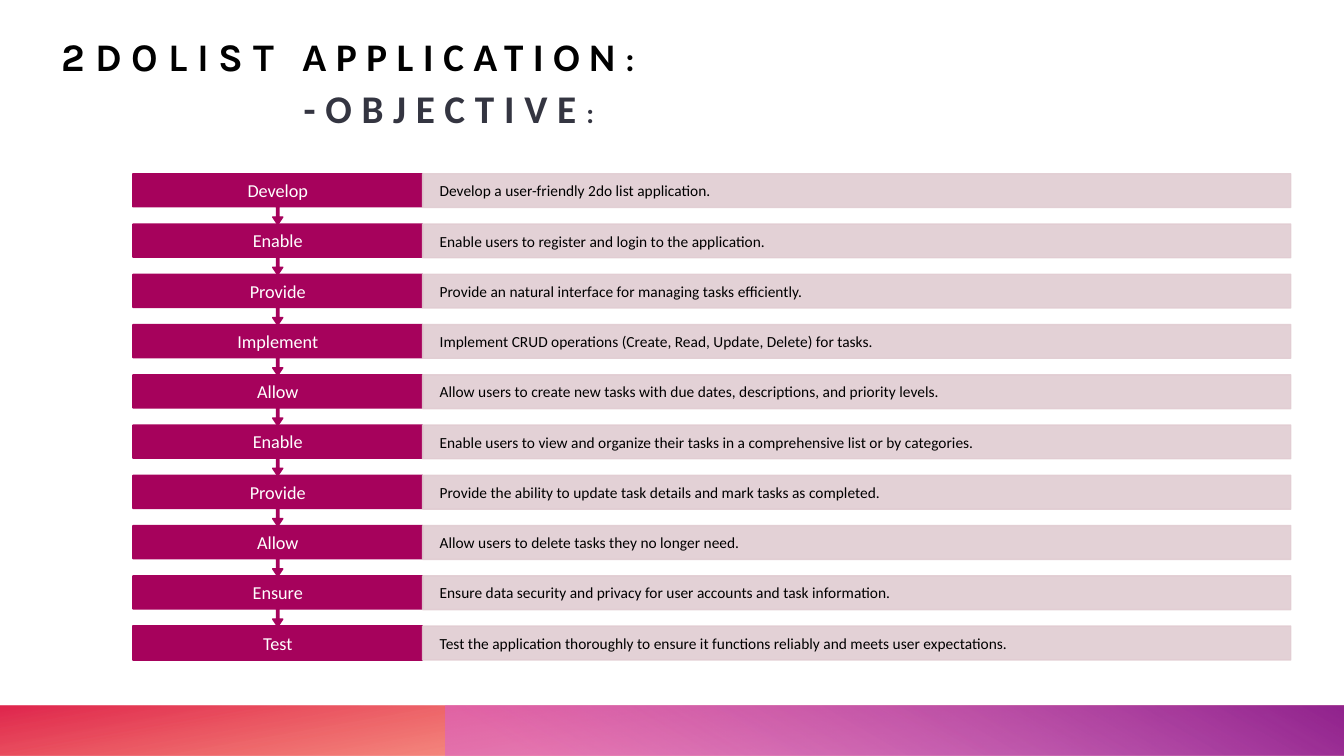
from lxml.etree import SubElement
from pptx import Presentation
from pptx.dml.color import RGBColor
from pptx.enum.shapes import MSO_SHAPE as Kind
from pptx.enum.text import MSO_ANCHOR as Anchor, PP_ALIGN as Align
from pptx.oxml import parse_xml
from pptx.oxml.ns import nsdecls, qn
from pptx.util import Cm, Pt

HUES = {"plum": "A6025C", "blush": "E1CCD2", "white": "FFFFFF", "black": "000000",
        "slate": "343541", "flame": "FE4A00", "red": "DA002F",
        "pink": "D861D4", "purple": "92248E"}
HEAD = [("2DOLIST", 27.9, "Karla"), (" APPLICATION", 27.9, "Calibri"), (":", 24, "Calibri")]
TITLE = [("-OBJECTIVE", 28, "Calibri"), (":", 20, "Calibri")]
GOALS = [
    ("Develop", "Develop a user-friendly 2do list application."),
    ("Enable", "Enable users to register and login to the application."),
    ("Provide", "Provide an natural interface for managing tasks efficiently."),
    ("Implement", "Implement CRUD operations (Create, Read, Update, Delete) for tasks."),
    ("Allow", "Allow users to create new tasks with due dates, descriptions, and priority levels."),
    ("Enable", "Enable users to view and organize their tasks in a comprehensive list or by categories."),
    ("Provide", "Provide the ability to update task details and mark tasks as completed."),
    ("Allow", "Allow users to delete tasks they no longer need."),
    ("Ensure", "Ensure data security and privacy for user accounts and task information."),
    ("Test", "Test the application thoroughly to ensure it functions reliably and meets user expectations."),
]
WIDE, HIGH = 33.87, 19.05
FOOT, SPLIT = 1.27, 11.22
BANDS = [
    (0, WIDE, 260, [("flame", 14, 28), ("red", 100, 85)]),
    (SPLIT, WIDE - SPLIT, 300, [("pink", 9, 55), ("purple", 99, 100)]),
]
LEFT, VERB, NOTE = 3.35, 7.3, 21.88
FIRST, LAST, BAR, CALL = 4.38, 15.78, 0.85, 1.28
STEP = (LAST - FIRST) / (len(GOALS) - 1)


def tint(name):
    return RGBColor.from_string(HUES[name])


def write(frame, runs, hue, align=Align.LEFT, anchor=Anchor.MIDDLE, side=0, gap=0):
    frame.word_wrap = True
    frame.vertical_anchor = anchor
    frame.margin_left = frame.margin_right = Cm(side)
    frame.margin_top = frame.margin_bottom = 0
    para = frame.paragraphs[0]
    para.alignment = align
    for text, size, face in runs:
        run = para.add_run()
        run.text = text
        run.font.size, run.font.name = Pt(size), face
        run.font.color.rgb = tint(hue)
        if gap:
            run.font.bold = True
            run.font._element.set("spc", str(gap * 100))


def draw(kind, x, y, wide, high):
    shape = slide.shapes.add_shape(kind, Cm(x), Cm(y), Cm(wide), Cm(high))
    shape.shadow.inherit = False
    return shape


def paint(shape, hue, alpha=100):
    shape.fill.solid()
    shape.fill.fore_color.rgb = tint(hue)
    shape.line.color.rgb = tint(hue)
    shape.line.width = Pt(1)
    if alpha < 100:
        for color in shape._element.spPr.iter(qn("a:srgbClr")):
            SubElement(color, qn("a:alpha"), val=str(alpha * 1000))


def blend(shape, angle, stops):
    shape.line.fill.background()
    marks = "".join(
        f'<a:gs pos="{at * 1000}"><a:srgbClr val="{HUES[hue]}">'
        f'<a:alpha val="{alpha * 1000}"/></a:srgbClr></a:gs>'
        for hue, at, alpha in stops)
    grad = parse_xml(
        f'<a:gradFill {nsdecls("a")} rotWithShape="1"><a:gsLst>{marks}</a:gsLst>'
        f'<a:lin ang="{angle * 60000}" scaled="0"/></a:gradFill>')
    shape._element.spPr.find(qn("a:prstGeom")).addnext(grad)


deck = Presentation()
deck.slide_width, deck.slide_height = Cm(WIDE), Cm(HIGH)
slide = deck.slides.add_slide(deck.slide_layouts[5])

for x, wide, angle, stops in BANDS:
    blend(draw(Kind.RECTANGLE, x, HIGH - FOOT, wide, FOOT), angle, stops)

title = slide.shapes.title
title.left, title.top, title.width, title.height = Cm(7.65), Cm(-0.13), Cm(28.45), Cm(3.43)
write(title.text_frame, TITLE, "slate", anchor=Anchor.BOTTOM, gap=7)

head = slide.shapes.add_textbox(Cm(1.56), Cm(0.72), Cm(17.7), Cm(1.27))
write(head.text_frame, HEAD, "black", anchor=Anchor.BOTTOM, gap=7)

for i, (verb, note) in reversed(list(enumerate(GOALS))):
    y = FIRST + i * STEP
    if i < len(GOALS) - 1:
        box = draw(Kind.DOWN_ARROW_CALLOUT, LEFT, y, VERB, CALL)
        for j, part in enumerate((0.05, 0.1, 0.15, 0.65)):
            box.adjustments[j] = part
    else:
        box = draw(Kind.RECTANGLE, LEFT, y, VERB, BAR)
    paint(box, "plum")
    write(box.text_frame, [(verb, 13, "Calibri")], "white", Align.CENTER, side=0.5)
    bar = draw(Kind.RECTANGLE, LEFT + VERB, y, NOTE, BAR)
    paint(bar, "blush", 90)
    write(bar.text_frame, [(note, 11, "Calibri")], "black", side=0.43)

deck.save("out.pptx")
